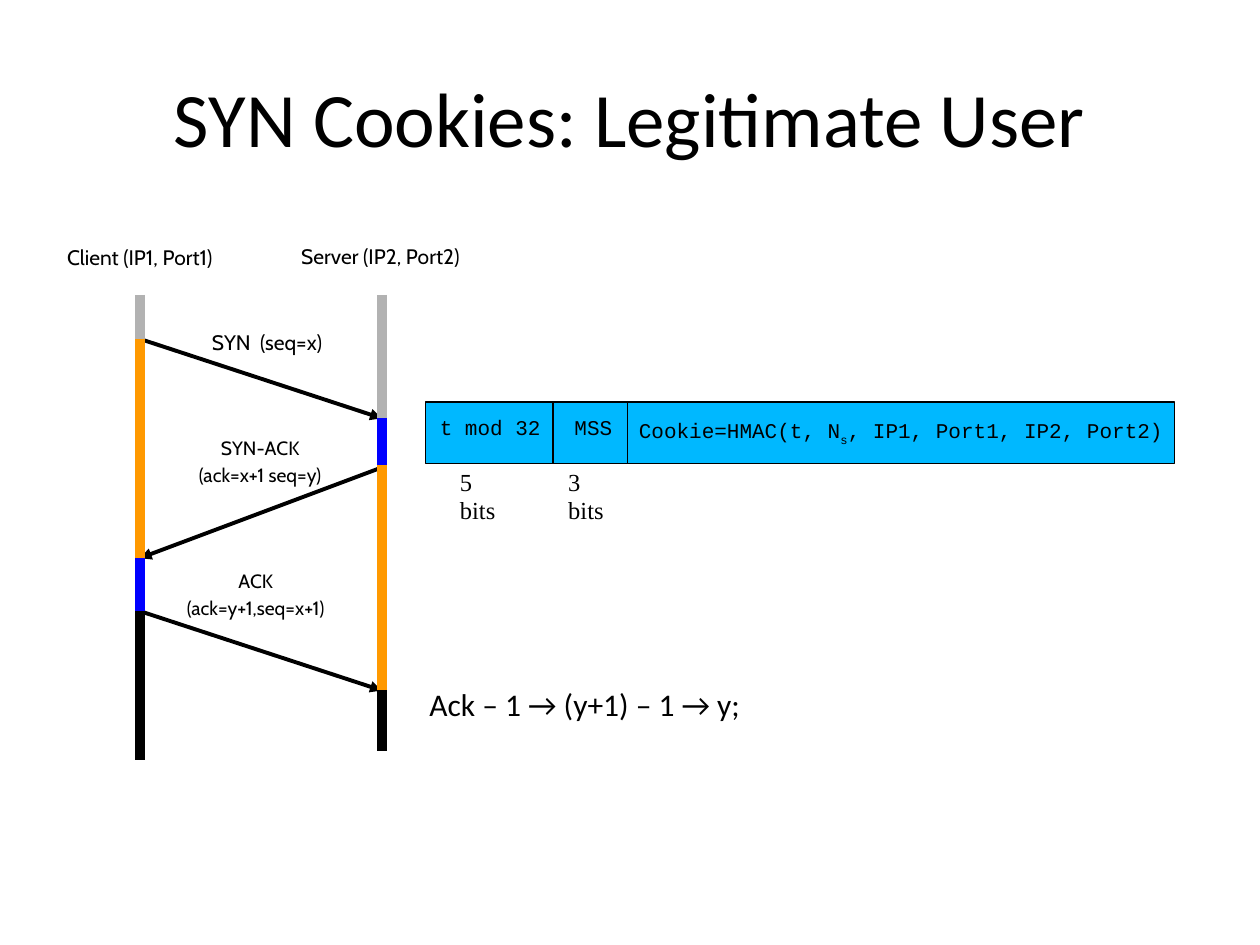
from itertools import pairwise

from lxml import etree
from pptx import Presentation
from pptx.dml.color import RGBColor
from pptx.enum.shapes import MSO_CONNECTOR, MSO_SHAPE
from pptx.enum.text import MSO_ANCHOR, PP_ALIGN
from pptx.oxml.ns import qn
from pptx.util import Inches, Pt

STRAIGHT = MSO_CONNECTOR.STRAIGHT
RECTANGLE = MSO_SHAPE.RECTANGLE
LEFT, CENTER = PP_ALIGN.LEFT, PP_ALIGN.CENTER
MIDDLE = MSO_ANCHOR.MIDDLE
TITLE_ONLY = 5

BLACK = RGBColor(0x00, 0x00, 0x00)
GRAY = RGBColor(0xB2, 0xB2, 0xB2)
ORANGE = RGBColor(0xFF, 0x99, 0x00)
BLUE = RGBColor(0x00, 0x00, 0xFF)
CYAN = RGBColor(0x00, 0xB8, 0xFF)

BODY, DIAGRAM, CODE, SERIF = "Calibri", "Cabin", "Courier New", "Times New Roman"


class SlideBuilder:
    def __init__(self, slide):
        self.slide = slide

    def style(self, paragraph, font, size, align=LEFT):
        paragraph.alignment = align
        paragraph.font.name = font
        paragraph.font.size = Pt(size)
        paragraph.font.color.rgb = BLACK

    def title(self, text, left, top, width, height):
        title = self.slide.shapes.title
        title.left, title.top = Inches(left), Inches(top)
        title.width, title.height = Inches(width), Inches(height)
        title.text_frame.text = text
        title.text_frame.vertical_anchor = MIDDLE
        self.style(title.text_frame.paragraphs[0], BODY, 44, CENTER)

    def text(self, lines, left, top, width, height, font, size,
             align=LEFT, wrap=False, inset=True, spacing=None):
        box = self.slide.shapes.add_textbox(
            Inches(left), Inches(top), Inches(width), Inches(height))
        frame = box.text_frame
        frame.word_wrap = wrap
        if not inset:
            frame.margin_left = frame.margin_right = 0
            frame.margin_top = frame.margin_bottom = 0
        for index, line in enumerate(lines):
            paragraph = frame.add_paragraph() if index else frame.paragraphs[0]
            if index:
                paragraph.space_before = Pt(0.2 * size)
            paragraph.line_spacing = spacing
            paragraph.add_run().text = line
            self.style(paragraph, font, size, align)
        return frame

    def line(self, start, end, color, width, arrow=False):
        line = self.slide.shapes.add_connector(
            STRAIGHT, *(Inches(value) for value in (*start, *end)))
        line.line.color.rgb = color
        line.line.width = Pt(width)
        if arrow:
            etree.SubElement(line.line._get_or_add_ln(), qn("a:tailEnd"), type="triangle")
        etree.SubElement(line._element.spPr, qn("a:effectLst"))

    def lifeline(self, x, times, colors):
        for (top, bottom), color in zip(pairwise(times), colors):
            self.line((x, top), (x, bottom), color, 6)

    def bar(self, left, top, width, height):
        bar = self.slide.shapes.add_shape(
            RECTANGLE, Inches(left), Inches(top), Inches(width), Inches(height))
        bar.shadow.inherit = False
        bar.fill.solid()
        bar.fill.fore_color.rgb = CYAN
        bar.line.color.rgb = BLACK
        bar.line.width = Pt(0.75)


def main():
    prs = Presentation()
    prs.slide_width, prs.slide_height = Inches(10), Inches(7.5)
    page = SlideBuilder(prs.slides.add_slide(prs.slide_layouts[TITLE_ONLY]))
    page.title("SYN Cookies: Legitimate User", 0.5, 0.3, 9, 1.25)

    # Hosts and message labels
    for lines, left, top, width, height, size in (
        (["Client (IP1, Port1)"], 0.34, 1.89, 1.54, 0.3, 12),
        (["Server (IP2, Port2)"], 2.22, 1.88, 1.6, 0.3, 12),
        (["SYN  (seq=x)"], 1.52, 2.57, 1.2, 0.3, 12),
        (["SYN-ACK", "(ack=x+1 seq=y)"], 1.36, 3.41, 1.41, 0.51, 11),
        (["ACK", "(ack=y+1,seq=x+1)"], 1.23, 4.47, 1.6, 0.51, 11),
    ):
        page.text(lines, left, top, width, height, DIAGRAM, size, CENTER)

    # Messages between the two hosts
    client_x, server_x = 1.11, 3.03
    syn_sent, syn_received = 2.69, 3.32
    syn_ack_sent, syn_ack_received = 3.69, 4.43
    ack_sent, ack_received = 4.85, 5.48
    for start, end in (
        ((client_x, syn_sent), (server_x, syn_received)),
        ((client_x, ack_sent), (server_x, ack_received)),
        ((server_x, syn_ack_sent + 0.02), (client_x, syn_ack_received)),
    ):
        page.line(start, end, BLACK, 2.25, arrow=True)

    # Lifelines, coloured by connection state
    page.lifeline(client_x, (2.34, syn_sent, syn_ack_received, ack_sent, 6.03),
                  (GRAY, ORANGE, BLUE, BLACK))
    page.lifeline(server_x, (2.34, syn_received, syn_ack_sent, ack_received, 5.96),
                  (GRAY, BLUE, ORANGE, BLACK))

    # Cookie layout: fields, dividers and field sizes
    page.bar(3.38, 3.19, 5.94, 0.49)
    for divider_x in (4.39, 4.98):
        page.line((divider_x, 3.19), (divider_x, 3.68), BLACK, 0.75)
    for field, left, width in (("t mod 32", 3.49, 0.81), ("MSS", 4.56, 0.3)):
        page.text([field], left, 3.31, width, 0.19, CODE, 12, inset=False, spacing=0.94)
    cookie = page.text(["Cookie=HMAC(t, N"], 5.07, 3.31, 4.21, 0.19, CODE, 12,
                       inset=False, spacing=0.94).paragraphs[0]
    subscript = cookie.add_run()
    subscript.text = "s"
    subscript._r.get_or_add_rPr().set("baseline", "-33000")
    cookie.add_run().text = ", IP1, Port1, IP2, Port2)"
    for bits, left in (("5 bits", 3.65), ("3 bits", 4.51)):
        page.text([bits], left, 3.73, 0.32, 0.19, SERIF, 14,
                  wrap=True, inset=False, spacing=0.93)

    # Server's check of the final ACK
    page.text(["Ack – 1 → (y+1) – 1 → y;"], 3.31, 5.39, 2.73, 0.4, BODY, 18)

    prs.save("out.pptx")


if __name__ == "__main__":
    main()
